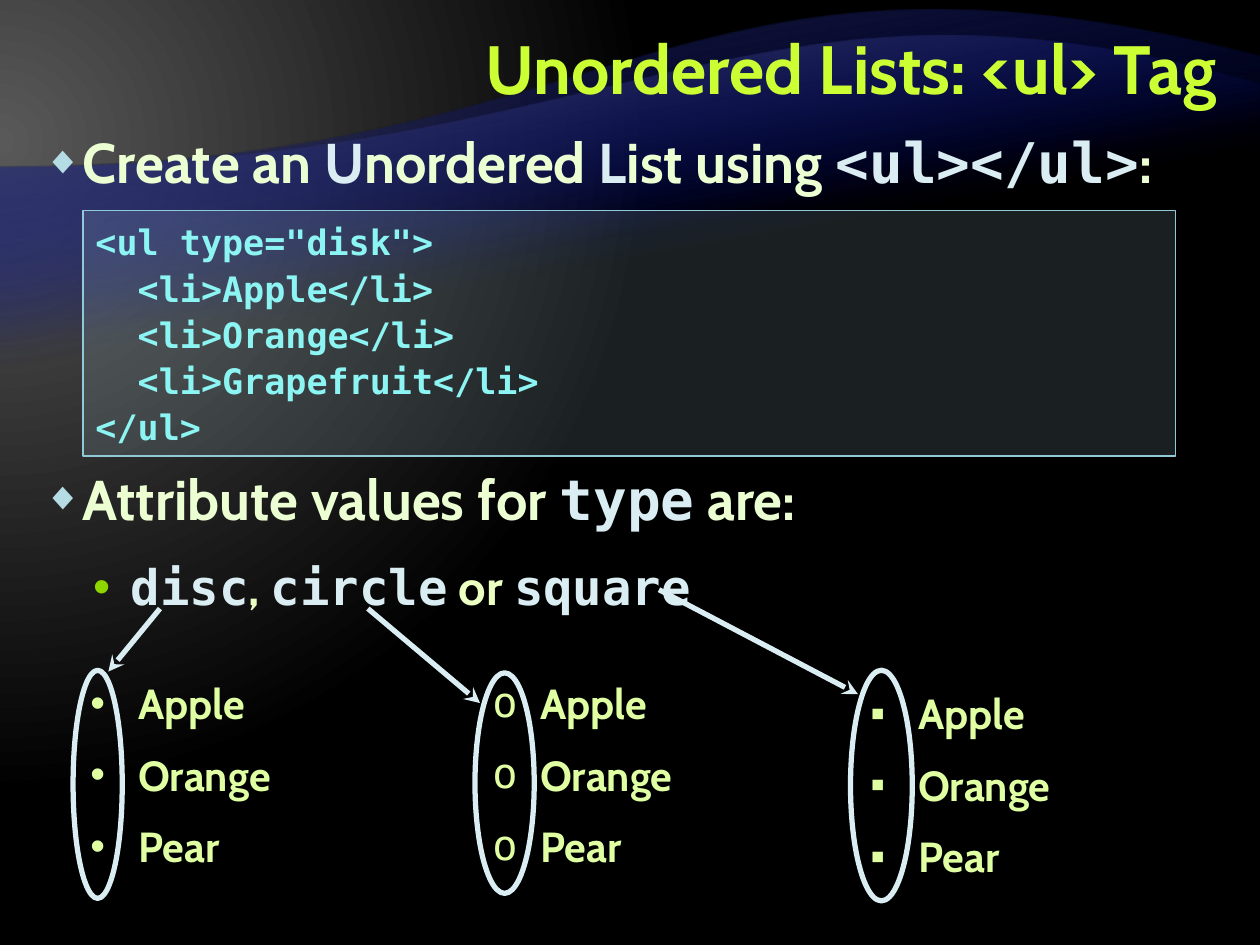
from lxml import etree
from pptx import Presentation
from pptx.dml.color import RGBColor
from pptx.enum.shapes import MSO_CONNECTOR as Connector, MSO_SHAPE as Shape
from pptx.enum.text import MSO_ANCHOR as Anchor, PP_ALIGN as Align
from pptx.oxml import parse_xml
from pptx.oxml.ns import nsdecls, qn
from pptx.util import Inches, Pt

LIME = RGBColor(0xCC, 0xFF, 0x33)
CREAM = RGBColor(0xEB, 0xFF, 0xD2)
PALE_LIME = RGBColor(0xEB, 0xFF, 0xC2)
ICE = RGBColor(0xDA, 0xED, 0xF2)
FRUIT = RGBColor(0xE0, 0xFF, 0xA3)
AQUA = RGBColor(0x8C, 0xF4, 0xF2)
PANEL = RGBColor(0xB5, 0xDB, 0xE5)
PANEL_EDGE = RGBColor(0x90, 0xCA, 0xD7)
GREEN = RGBColor(0x8F, 0xD6, 0x00)
GREY = RGBColor(0x59, 0x59, 0x59)
CHARCOAL = RGBColor(0x26, 0x26, 0x26)
NAVY = RGBColor(0x00, 0x0D, 0x9E)
BLACK = RGBColor(0, 0, 0)

SANS, MONO = "Cabin", "DejaVu Sans Mono"


def apply_format(target, values):
    """Set every attribute in values on target."""
    for name, value in values.items():
        setattr(target, name, value)


def gradient_xml(stops, direction):
    """Return a gradient fill built from (position, colour, alpha) stops."""
    marks = "".join(
        f'<a:gs pos="{pos * 1000}"><a:srgbClr val="{color}">'
        f'<a:alpha val="{alpha * 1000}"/></a:srgbClr></a:gs>'
        for pos, color, alpha in stops)
    return (f'<a:gradFill {nsdecls("a")} rotWithShape="1">'
            f'<a:gsLst>{marks}</a:gsLst>{direction}</a:gradFill>')


def paint_background(page):
    """Fill the page with a glow from the upper left."""
    glow = gradient_xml(
        [(0, GREY, 100), (83, BLACK, 100)],
        '<a:path path="circle"><a:fillToRect l="20000" t="30000" '
        'r="135000" b="100000"/></a:path>')
    page.background.fill.solid()
    holder = page._element.cSld.find(qn("p:bg")).find(qn("p:bgPr"))
    holder.replace(holder[0], parse_xml(glow))


def add_wave(page, bottom, curve, color, steps=60):
    """Draw a translucent wave whose top edge follows a cubic curve."""
    edge = []
    for step in range(steps + 1):
        t = step / steps
        weights = ((1 - t) ** 3, 3 * t * (1 - t) ** 2, 3 * t * t * (1 - t), t ** 3)
        edge.append(tuple(
            Inches(sum(w * point[axis] for w, point in zip(weights, curve)))
            for axis in (0, 1)))
    builder = page.shapes.build_freeform(Inches(10), Inches(bottom))
    builder.add_line_segments([(Inches(0), Inches(bottom))] + edge, close=True)
    wave = builder.convert_to_shape()
    wave.shadow.inherit = False
    wave.line.fill.background()
    wave.fill.solid()
    fill = gradient_xml([(65, NAVY, 0), (100, color, 100)],
                        '<a:lin ang="15600000" scaled="0"/>')
    properties = wave._element.spPr
    properties.replace(properties.find(qn("a:solidFill")), parse_xml(fill))


def add_bullet(para, char, color, margin, indent, size=100, font="Arial"):
    """Give a paragraph a bullet and a hanging indent."""
    props = para._p.get_or_add_pPr()
    props.set("marL", str(Inches(margin)))
    props.set("indent", str(Inches(indent)))
    holder = etree.SubElement(props, qn("a:buClr"))
    etree.SubElement(holder, qn("a:srgbClr")).set("val", str(color))
    etree.SubElement(props, qn("a:buSzPct")).set("val", str(size * 1000))
    etree.SubElement(props, qn("a:buFont")).set("typeface", font)
    etree.SubElement(props, qn("a:buChar")).set("char", char)


def add_spans(para, spans, size):
    """Write bold (text, font, colour) spans into a paragraph."""
    for text, font, color in spans:
        span = para.add_run()
        span.text = text
        apply_format(span.font, {"name": font, "size": Pt(size), "bold": True})
        span.font.color.rgb = color


def add_text_box(page, box, anchor=Anchor.TOP):
    """Add a wrapping text box and return its frame."""
    frame = page.shapes.add_textbox(*map(Inches, box)).text_frame
    apply_format(frame, {"word_wrap": True, "vertical_anchor": anchor})
    return frame


def add_title(page, box):
    """Place the right-aligned heading."""
    para = add_text_box(page, box, Anchor.MIDDLE).paragraphs[0]
    apply_format(para, {"alignment": Align.RIGHT, "line_spacing": Pt(40)})
    add_spans(para, [("Unordered Lists: <ul> Tag", SANS, LIME)], 39)


def add_points(page, box, points):
    """Place bulleted statements given as (level, spans)."""
    levels = [
        (32, {"char": "◆", "color": PANEL, "margin": 0.31, "indent": -0.31, "size": 70}),
        (28, {"char": "•", "color": GREEN, "margin": 0.69, "indent": -0.3}),
    ]
    frame = add_text_box(page, box)
    for index, (level, spans) in enumerate(points):
        para = frame.add_paragraph() if index else frame.paragraphs[0]
        size, bullet = levels[level]
        add_bullet(para, **bullet)
        apply_format(para, {"level": level, "line_spacing": Pt(36),
                            "space_before": Pt(6 if index else 0),
                            "space_after": Pt(6)})
        add_spans(para, spans, size)


def add_code(page, box, lines):
    """Place the code panel."""
    panel = page.shapes.add_shape(Shape.RECTANGLE, *map(Inches, box))
    panel.shadow.inherit = False
    panel.fill.solid()
    panel.fill.fore_color.rgb = PANEL
    tint = panel._element.spPr.find(qn("a:solidFill"))[0]
    etree.SubElement(tint, qn("a:alpha")).set("val", "15000")
    panel.line.color.rgb = PANEL_EDGE
    panel.line.width = Pt(1)
    frame = panel.text_frame
    apply_format(frame, {"word_wrap": True, "vertical_anchor": Anchor.TOP})
    for index, line in enumerate(lines):
        para = frame.add_paragraph() if index else frame.paragraphs[0]
        apply_format(para, {"alignment": Align.LEFT, "line_spacing": 1.1})
        add_spans(para, [(line, MONO, AQUA)], 20)


def add_arrow(page, start, end):
    """Draw an arrow from an attribute value to its sample."""
    arrow = page.shapes.add_connector(
        Connector.STRAIGHT, *map(Inches, (*start, *end)))
    arrow.line.color.rgb = ICE
    arrow.line.width = Pt(3)
    etree.SubElement(arrow.line._get_or_add_ln(), qn("a:tailEnd")).set("type", "stealth")
    etree.SubElement(arrow._element.spPr, qn("a:effectLst"))


def add_sample(page, box, char, font, ring_box):
    """Place a fruit list and the ring around its bullets."""
    frame = add_text_box(page, box)
    for index, fruit in enumerate(("Apple", "Orange", "Pear")):
        para = frame.add_paragraph() if index else frame.paragraphs[0]
        add_bullet(para, char, FRUIT, 0.38, -0.38, font=font)
        para.space_before = Pt(12 if index else 0)
        add_spans(para, [(fruit, SANS, FRUIT)], 24)
    ring = page.shapes.add_shape(Shape.OVAL, *map(Inches, ring_box))
    ring.shadow.inherit = False
    ring.fill.background()
    ring.line.color.rgb = ICE
    ring.line.width = Pt(3)


def main():
    """Build the slide and save the deck."""
    deck = Presentation()
    apply_format(deck, {"slide_width": Inches(10), "slide_height": Inches(7.5)})
    page = deck.slides.add_slide(deck.slide_layouts[6])
    paint_background(page)
    add_wave(page, 6.53, [(0, 1.33), (5, 1.33), (5.34, -0.75), (10, 0.45)], CHARCOAL)
    add_wave(page, 5.57, [(0, 1.33), (5, 1.33), (5.98, -0.49), (10, 0.67)], GREY)
    add_title(page, (2, 0.08, 7.75, 1))
    add_points(page, (0.25, 1, 9.5, 0.6), [
        (0, [("Create an ", SANS, CREAM), ("U", SANS, ICE), ("nordered ", SANS, CREAM),
             ("L", SANS, ICE), ("ist using ", SANS, CREAM),
             ("<ul></ul>", MONO, ICE), (":", SANS, CREAM)])])
    add_points(page, (0.25, 3.67, 9.5, 1.3), [
        (0, [("Attribute values for ", SANS, CREAM), ("type", MONO, ICE),
             (" are:", SANS, CREAM)]),
        (1, [("disc", MONO, ICE), (", ", SANS, PALE_LIME), ("circle", MONO, ICE),
             (" or ", SANS, PALE_LIME), ("square", MONO, ICE)])])
    for start, end in [((1.27, 4.83), (0.86, 5.33)),
                       ((2.92, 4.83), (3.81, 5.58)),
                       ((5.23, 4.68), (6.81, 5.51))]:
        add_arrow(page, start, end)
    add_sample(page, (0.62, 5.33, 1.83, 1.72), "•", "Arial", (0.58, 5.32, 0.39, 1.81))
    add_sample(page, (3.81, 5.33, 2.08, 1.72), "o", MONO, (3.77, 5.34, 0.47, 1.75))
    add_sample(page, (6.81, 5.41, 2.08, 1.72), "▪", "Arial", (6.75, 5.32, 0.49, 1.83))
    add_code(page, (0.66, 1.67, 8.67, 1.95), [
        '<ul type="disk">', "  <li>Apple</li>", "  <li>Orange</li>",
        "  <li>Grapefruit</li>", "</ul>"])
    deck.save("out.pptx")


if __name__ == "__main__":
    main()
